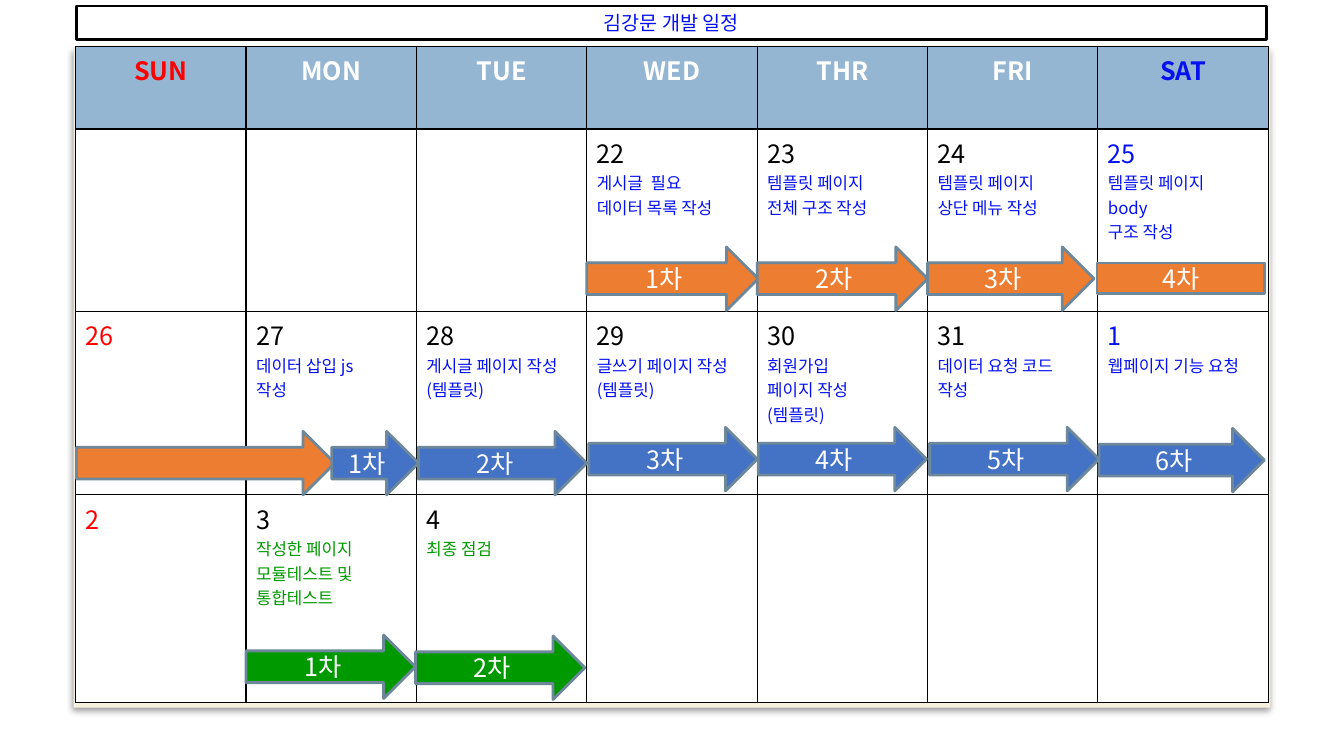
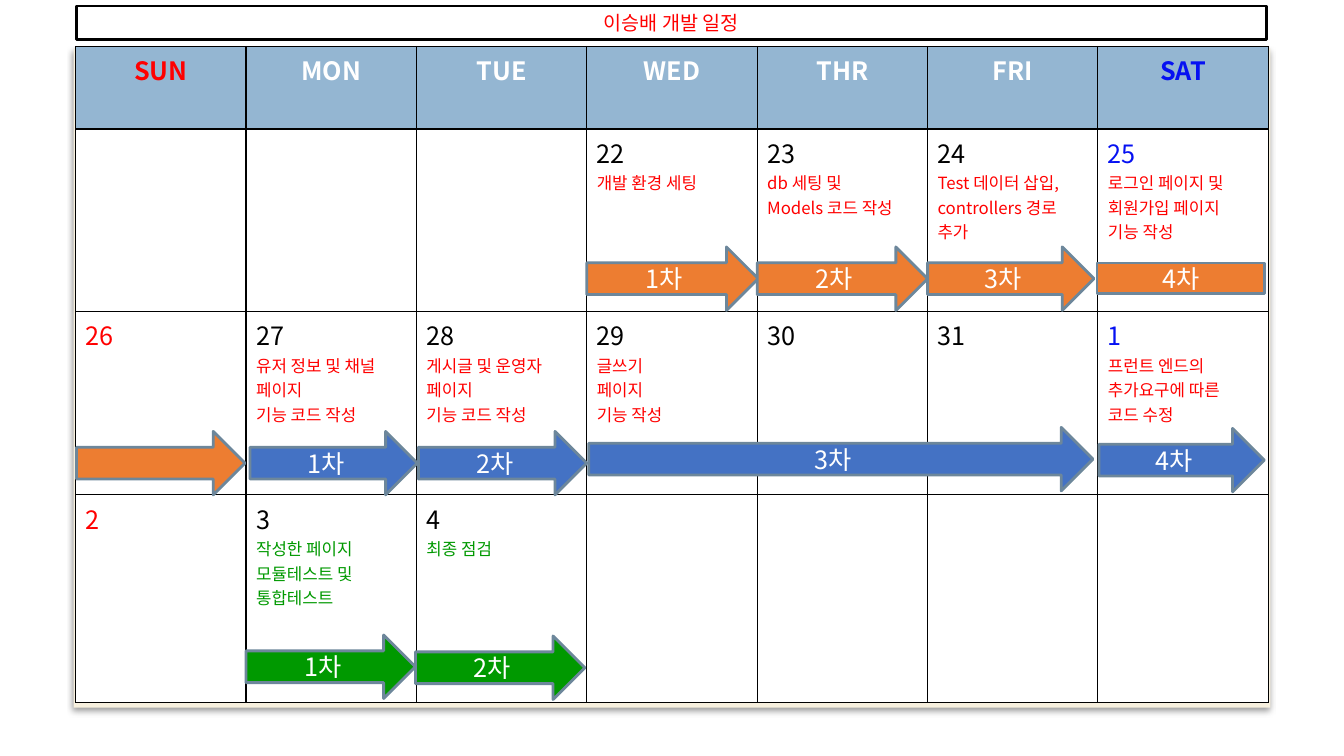
from lxml.etree import SubElement
from pptx import Presentation
from pptx.dml.color import RGBColor
from pptx.enum.shapes import MSO_SHAPE
from pptx.enum.text import MSO_ANCHOR, MSO_AUTO_SIZE, PP_ALIGN
from pptx.oxml.ns import qn
from pptx.util import Inches, Pt

FONT = "Noto Sans CJK KR"
RED, BLUE, GREEN = "FF0000", "0611F2", "009900"
BLACK, WHITE = "000000", "FFFFFF"
HEADER, PANEL, OUTLINE = "94B6D2", "F7F0DE", "6D879B"
ORANGE_BAR, BLUE_BAR = "ED7D31", "4472C4"

COLUMN_WIDTH = 1.69
ROW_HEIGHTS = [0.82, 1.81, 1.82, 2.06]
BAR_HEIGHT, STRIP_HEIGHT = 0.63, 0.3
DAY_NAMES = ["SUN", "MON", "TUE", "WED", "THR", "FRI", "SAT"]
WEEKS = [
    ["", "", "", "22", "23", "24", "25"],
    ["26", "27", "28", "29", "30", "31", "1"],
    ["2", "3", "4", "", "", "", ""],
]

TEST_TASKS = {
    "3": ["작성한 페이지", "모듈테스트 및", "통합테스트"],
    "4": ["최종 점검"],
}
SHARED_BARS = [
    (5.82, 2.45, 1.7, ORANGE_BAR, "1차"),
    (7.51, 2.45, 1.69, ORANGE_BAR, "2차"),
    (9.2, 2.45, 1.65, ORANGE_BAR, "3차"),
    (2.44, 6.3, 1.68, GREEN, "1차"),
    (4.12, 6.31, 1.68, GREEN, "2차"),
    (4.15, 4.28, 1.67, BLUE_BAR, "2차"),
]
SCHEDULES = [
    {
        "title": "김강문 개발 일정",
        "color": BLUE,
        "tasks": {
            "22": ["게시글  필요", "데이터 목록 작성"],
            "23": ["템플릿 페이지", "전체 구조 작성"],
            "24": ["템플릿 페이지", "상단 메뉴 작성"],
            "25": ["템플릿 페이지", "body", "구조 작성"],
            "27": ["데이터 삽입 js", "작성"],
            "28": ["게시글 페이지 작성", "(템플릿)"],
            "29": ["글쓰기 페이지 작성", "(템플릿)"],
            "30": ["회원가입", "페이지 작성", "(템플릿)"],
            "31": ["데이터 요청 코드", "작성"],
            "1": ["웹페이지 기능 요청"],
        },
        "bars": [
            (0.76, 4.28, 2.56, ORANGE_BAR, ""),
            (3.29, 4.28, 0.86, BLUE_BAR, "1차"),
            (5.84, 4.24, 1.67, BLUE_BAR, "3차"),
            (7.52, 4.24, 1.67, BLUE_BAR, "4차"),
            (9.22, 4.24, 1.68, BLUE_BAR, "5차"),
            (10.9, 4.25, 1.64, BLUE_BAR, "6차"),
        ],
    },
    {
        "title": "이승배 개발 일정",
        "color": RED,
        "tasks": {
            "22": ["개발 환경 세팅"],
            "23": ["db 세팅 및", "Models 코드 작성"],
            "24": ["Test 데이터 삽입,", "controllers 경로", "추가"],
            "25": ["로그인 페이지 및", "회원가입 페이지", "기능 작성"],
            "27": ["유저 정보 및 채널", "페이지", "기능 코드 작성"],
            "28": ["게시글 및 운영자", "페이지", "기능 코드 작성"],
            "29": ["글쓰기", "페이지", "기능 작성"],
            "1": ["프런트 엔드의", "추가요구에 따른", "코드 수정"],
        },
        "bars": [
            (0.76, 4.28, 1.67, ORANGE_BAR, ""),
            (2.48, 4.28, 1.66, BLUE_BAR, "1차"),
            (5.84, 4.24, 5, BLUE_BAR, "3차"),
            (10.9, 4.25, 1.64, BLUE_BAR, "4차"),
        ],
    },
]


def rgb(color):
    return RGBColor.from_string(color)


def set_values(target, values):
    for name, value in values.items():
        setattr(target, name, value)


def paint(target, color):
    target.fill.solid()
    target.fill.fore_color.rgb = rgb(color)


def outline(shape, color):
    shape.line.color.rgb = rgb(color)
    shape.line.width = Pt(2)


def write(paragraph, text, size, color, alignment=PP_ALIGN.LEFT, bold=False):
    paragraph.alignment = alignment
    run = paragraph.add_run()
    run.text = text
    run.font.color.rgb = rgb(color)
    set_values(run.font, {"size": Pt(size), "bold": bold, "name": FONT})
    SubElement(run.font._element, qn("a:ea"), typeface=FONT)


def add_block(slide, kind, left, top, width, height, color):
    shape = slide.shapes.add_shape(
        kind, Inches(left), Inches(top), Inches(width), Inches(height))
    shape.shadow.inherit = False
    paint(shape, color)
    return shape


def add_bar(slide, left, top, width, color, label,
            kind=MSO_SHAPE.RIGHT_ARROW, height=BAR_HEIGHT):
    bar = add_block(slide, kind, left, top, width, height, color)
    outline(bar, OUTLINE)
    bar.text_frame.vertical_anchor = MSO_ANCHOR.MIDDLE
    if label:
        write(bar.text_frame.paragraphs[0], label, 18, WHITE, PP_ALIGN.CENTER)


def move_panel_to_layout(slide):
    panel = add_block(slide, MSO_SHAPE.RECTANGLE, 0.73, 0.48, 11.87, 6.54, PANEL)
    panel.line.fill.background()
    effects = panel.element.spPr.find(qn("a:effectLst"))
    shadow = SubElement(
        effects, qn("a:outerShdw"), blurRad=str(Pt(4)), dist=str(Pt(3)),
        dir="5400000", algn="t", rotWithShape="0")
    shade = SubElement(shadow, qn("a:srgbClr"), val=BLACK)
    SubElement(shade, qn("a:alpha"), val="40000")
    slide.slide_layout.shapes.element.append(panel.element)


def add_title(slide, text, color):
    title = slide.shapes.title
    set_values(title, {"left": Inches(0.76), "top": Inches(0.06),
                       "width": Inches(11.8), "height": Inches(0.33)})
    paint(title, WHITE)
    outline(title, BLACK)
    set_values(title.text_frame, {
        "vertical_anchor": MSO_ANCHOR.MIDDLE, "auto_size": MSO_AUTO_SIZE.NONE,
        "word_wrap": True, "margin_top": 0, "margin_bottom": 0})
    write(title.text_frame.paragraphs[0], text, 14, color, PP_ALIGN.CENTER)


def format_cell(cell, color):
    properties = cell._tc.get_or_add_tcPr()
    for side in ("lnL", "lnR", "lnT", "lnB"):
        border = SubElement(properties, qn("a:" + side), w=str(Pt(1)))
        fill = SubElement(border, qn("a:solidFill"))
        SubElement(fill, qn("a:srgbClr"), val=BLACK)
    paint(cell, color)


def fill_day(cell, day, day_color, tasks, task_color):
    format_cell(cell, WHITE)
    if not day:
        return
    write(cell.text_frame.paragraphs[0], day, 18, day_color)
    for task in tasks:
        write(cell.text_frame.add_paragraph(), task, 12, task_color)


def add_calendar(slide, tasks, color):
    frame = slide.shapes.add_table(
        len(ROW_HEIGHTS), len(DAY_NAMES), Inches(0.75), Inches(0.46),
        Inches(COLUMN_WIDTH * len(DAY_NAMES)), Inches(sum(ROW_HEIGHTS)))
    table = frame.table
    set_values(table, {"first_row": False, "horz_banding": False})
    for row, height in zip(table.rows, ROW_HEIGHTS):
        row.height = Inches(height)
    weekend = {0: RED, len(DAY_NAMES) - 1: BLUE}
    for index, name in enumerate(DAY_NAMES):
        table.columns[index].width = Inches(COLUMN_WIDTH)
        cell = table.cell(0, index)
        format_cell(cell, HEADER)
        write(cell.text_frame.paragraphs[0], name, 18,
              weekend.get(index, WHITE), PP_ALIGN.CENTER, True)
        for week_number, week in enumerate(WEEKS, 1):
            day = week[index]
            lines = TEST_TASKS.get(day, tasks.get(day, []))
            fill_day(table.cell(week_number, index), day,
                     weekend.get(index, BLACK), lines,
                     GREEN if day in TEST_TASKS else color)


def add_schedule(slide, schedule):
    add_title(slide, schedule["title"], schedule["color"])
    add_calendar(slide, schedule["tasks"], schedule["color"])
    add_bar(slide, 10.88, 2.61, 1.66, ORANGE_BAR, "4차",
            MSO_SHAPE.RECTANGLE, STRIP_HEIGHT)
    for bar in schedule["bars"] + SHARED_BARS:
        add_bar(slide, *bar)


def main():
    presentation = Presentation()
    set_values(presentation, {"slide_width": Inches(13.33),
                              "slide_height": Inches(7.5)})
    layout = presentation.slide_layouts.get_by_name("Title Only")
    slides = [presentation.slides.add_slide(layout) for _ in SCHEDULES]
    move_panel_to_layout(slides[0])
    for slide, schedule in zip(slides, SCHEDULES):
        add_schedule(slide, schedule)
    presentation.save("out.pptx")


if __name__ == "__main__":
    main()
